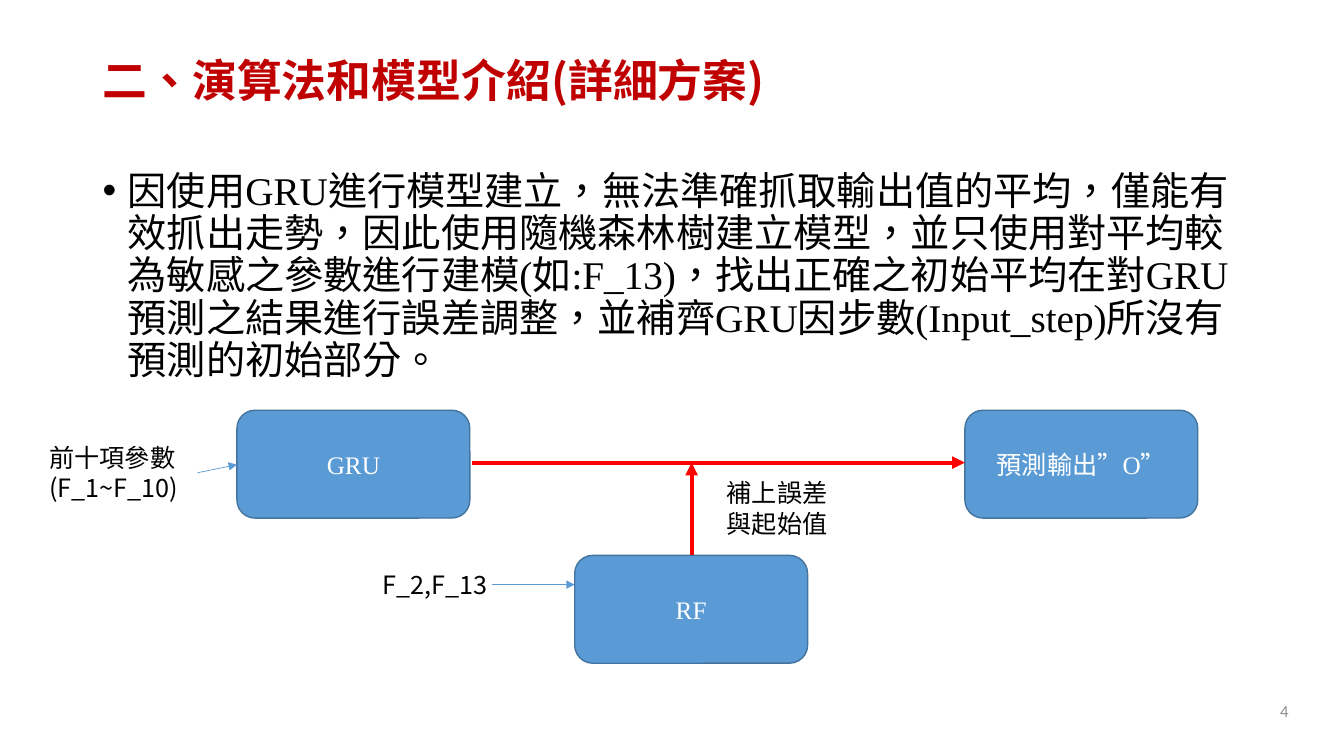
from pptx import Presentation
from pptx.dml.color import RGBColor
from pptx.enum.shapes import MSO_CONNECTOR, MSO_SHAPE
from pptx.enum.text import MSO_ANCHOR, PP_ALIGN
from pptx.oxml.ns import qn
from pptx.util import Inches, Pt
from lxml.etree import SubElement

# Content
TITLE = "二、演算法和模型介紹(詳細方案)"
BODY = ("因使用GRU進行模型建立，無法準確抓取輸出值的平均，僅能有效抓出走勢，"
        "因此使用隨機森林樹建立模型，並只使用對平均較為敏感之參數進行建模(如:F_13)，"
        "找出正確之初始平均在對GRU預測之結果進行誤差調整，"
        "並補齊GRU因步數(Input_step)所沒有預測的初始部分。")
PAGE_NUMBER = "4"
MODEL_BOXES = [  # text, left, top
    ("GRU", 2.35, 4.07),
    ("RF", 5.7, 5.51),
    ("預測輸出”O”", 9.57, 4.07),
]
LABELS = [  # lines, (left, top, width, height)
    (["F_2,F_13"], (3.7, 5.6, 1.29, 0.4)),
    (["補上誤差與起始值"], (7.11, 4.69, 1.29, 0.71)),
    (["前十項參數", "(F_1~F_10)"], (0.39, 4.34, 1.57, 0.71)),
]
ARROWS = [  # kind, start, end
    ("flow", (4.68, 4.59), (9.57, 4.59)),
    ("flow", (6.86, 5.51), (6.86, 4.59)),
    ("input", (4.88, 5.8), (5.7, 5.8)),
    ("input", (1.96, 4.69), (2.35, 4.61)),
]
BOX_SIZE = (2.31, 1.07)

THEME = {
    "title": "C00000", "text": "000000", "page": "8C8C8C", "box_text": "FFFFFF",
    "box_fill": "5B9BD5", "box_line": "43739E",
    "arrows": {"flow": ("FF0000", 3), "input": ("5B9BD5", 0.5)},
    "title_size": 32, "body_size": 28, "label_size": 18, "page_size": 12,
    "sans": "Noto Sans CJK SC", "serif": "Times New Roman", "number": "Calibri",
}


def color(name):
    return RGBColor.from_string(THEME[name])


def write_text(shape, lines, size="label_size", font="sans", ink="text", bold=False,
               align=PP_ALIGN.LEFT, anchor=MSO_ANCHOR.TOP, spacing=None, before=0,
               bullet=False):
    frame = shape.text_frame
    frame.word_wrap = True
    frame.vertical_anchor = anchor
    for index, line in enumerate(lines):
        paragraph = frame.add_paragraph() if index else frame.paragraphs[0]
        paragraph.alignment = align
        paragraph.space_before = Pt(before)
        if spacing:
            paragraph.line_spacing = spacing
        if bullet:
            properties = paragraph._p.get_or_add_pPr()
            properties.set("marL", str(Inches(0.25)))
            properties.set("indent", str(-Inches(0.25)))
            SubElement(properties, qn("a:buFont")).set("typeface", "Arial")
            SubElement(properties, qn("a:buChar")).set("char", "•")
        run = paragraph.add_run()
        run.text = line
        run.font.size = Pt(THEME[size])
        run.font.name = THEME[font]
        run.font.bold = bold
        run.font.color.rgb = color(ink)
        run_properties = run._r.get_or_add_rPr()
        run_properties.set("lang", "zh-TW")
        SubElement(run_properties, qn("a:ea")).set("typeface", THEME["sans"])


def add_text(slide, lines, place, **text_format):
    text_box = slide.shapes.add_textbox(*map(Inches, place))
    write_text(text_box, lines, **text_format)


def add_model_box(slide, text, left, top):
    box = slide.shapes.add_shape(MSO_SHAPE.ROUNDED_RECTANGLE,
                                 *map(Inches, (left, top, *BOX_SIZE)))
    box.shadow.inherit = False
    box.fill.solid()
    box.fill.fore_color.rgb = color("box_fill")
    box.line.color.rgb = color("box_line")
    box.line.width = Pt(1)
    write_text(box, [text], font="serif", ink="box_text",
               align=PP_ALIGN.CENTER, anchor=MSO_ANCHOR.MIDDLE)


def add_arrow(slide, kind, start, end):
    line_color, width = THEME["arrows"][kind]
    arrow = slide.shapes.add_connector(MSO_CONNECTOR.STRAIGHT,
                                       *map(Inches, (*start, *end)))
    arrow.line.color.rgb = RGBColor.from_string(line_color)
    arrow.line.width = Pt(width)
    SubElement(arrow.line._get_or_add_ln(), qn("a:tailEnd")).set("type", "triangle")
    SubElement(arrow._element.spPr, qn("a:effectLst"))


presentation = Presentation()
presentation.slide_width = Inches(13.33)
presentation.slide_height = Inches(7.5)
slide = presentation.slides.add_slide(presentation.slide_layouts[6])

# Title, body and page number
add_text(slide, [TITLE], (0.92, 0.25, 11.5, 1.14), size="title_size", ink="title",
         bold=True, anchor=MSO_ANCHOR.MIDDLE, spacing=0.9)
add_text(slide, [BODY], (0.92, 1.65, 11.5, 5.11), size="body_size", font="serif",
         spacing=0.9, before=10, bullet=True)
add_text(slide, [PAGE_NUMBER], (9.88, 6.85, 3, 0.4), size="page_size", font="number",
         ink="page", align=PP_ALIGN.RIGHT, anchor=MSO_ANCHOR.MIDDLE)

# Model diagram
for text, left, top in MODEL_BOXES:
    add_model_box(slide, text, left, top)
for kind, start, end in ARROWS:
    add_arrow(slide, kind, start, end)
for lines, place in LABELS:
    add_text(slide, lines, place)

presentation.save("out.pptx")
